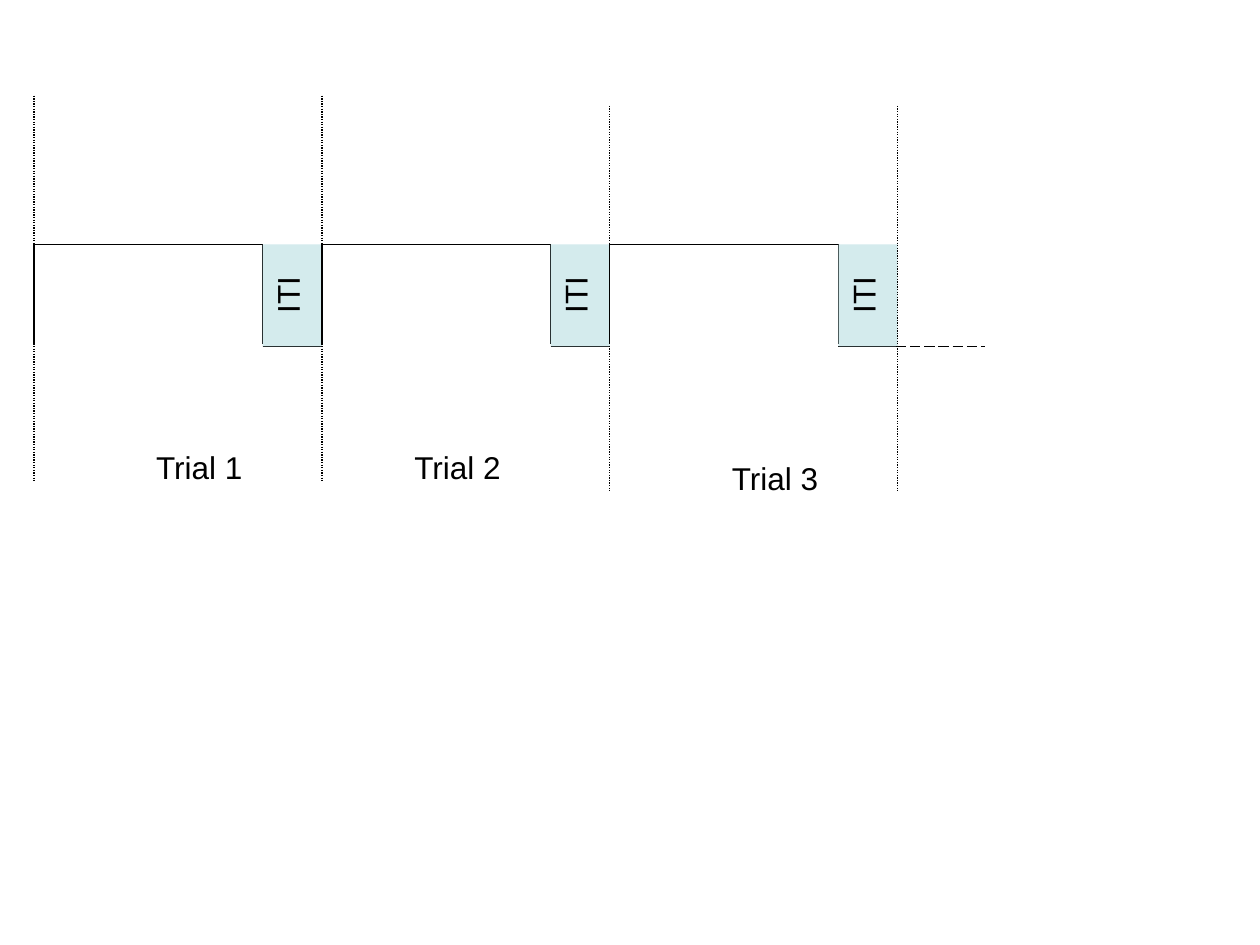
import pptx
import pptx.dml.color
import pptx.enum.dml
import pptx.enum.shapes
import pptx.enum.text
import pptx.oxml.ns
import pptx.util
import lxml.etree

Inches = pptx.util.Inches
qn = pptx.oxml.ns.qn
DASH = pptx.enum.dml.MSO_LINE

# label, label left, label top
TRIALS = [("Trial 1", 1.14, 3.51), ("Trial 2", 3.19, 3.51), ("Trial 3", 5.71, 3.59)]
BOUNDARY_TOPS = [0.76, 0.76, 0.84, 0.84]
BOUNDARY_HEIGHT = 3.07

START, PERIOD = 0.27, 2.285
ITI_OFFSET, ITI_WIDTH = 1.815, 0.47
HIGH, EDGE_END, LOW = 1.94, 2.73, 2.75
BLACK, ITI_FILL = "000000", "BBE0E3"

prs = pptx.Presentation()
prs.slide_width, prs.slide_height = Inches(10), Inches(7.5)
s = prs.slides.add_slide(prs.slide_layouts[6])


def rgb(color):
    return pptx.dml.color.RGBColor.from_string(color)


def add_line(x1, y1, x2, y2, dash=None):
    sp = s.shapes.add_connector(pptx.enum.shapes.MSO_CONNECTOR.STRAIGHT,
                                Inches(x1), Inches(y1), Inches(x2), Inches(y2))
    sp.line.color.rgb = rgb(BLACK)
    sp.line.width = pptx.util.Pt(0.75)
    if dash:
        sp.line.dash_style = dash
    lxml.etree.SubElement(sp._element.spPr, qn("a:effectLst"))


def add_text(text, x, y, width, height=0.4, rotation=0, size=18, color=BLACK):
    sp = s.shapes.add_textbox(Inches(x), Inches(y), Inches(width), Inches(height))
    sp.rotation = rotation
    tf = sp.text_frame
    tf.word_wrap = False
    tf.auto_size = pptx.enum.text.MSO_AUTO_SIZE.SHAPE_TO_FIT_TEXT
    r = tf.paragraphs[0].add_run()
    r.text = text
    r.font.name, r.font.size = "Arial", pptx.util.Pt(size)
    r.font.color.rgb = rgb(color)


def add_iti_box(x):
    sp = s.shapes.add_shape(pptx.enum.shapes.MSO_SHAPE.RECTANGLE, Inches(x),
                            Inches(HIGH), Inches(ITI_WIDTH), Inches(LOW - HIGH))
    sp.shadow.inherit = False
    sp.line.fill.background()
    sp.fill.solid()
    sp.fill.fore_color.rgb = rgb(ITI_FILL)
    fill = sp._element.spPr.find(".//" + qn("a:srgbClr"))
    lxml.etree.SubElement(fill, qn("a:alpha"), val="63000")


for i, (label, label_x, label_y) in enumerate(TRIALS):
    start = START + i * PERIOD
    iti = start + ITI_OFFSET
    add_line(start, EDGE_END, start, HIGH)
    add_line(start, HIGH, iti, HIGH)
    add_line(iti, EDGE_END, iti, HIGH)
    add_line(iti, LOW, start + PERIOD, LOW)
    add_iti_box(iti)
    add_text(label, label_x, label_y, 0.89)
    add_text("ITI", iti - 0.05, 2.14, 0.49, rotation=270)

for i, top in enumerate(BOUNDARY_TOPS):
    x = START + i * PERIOD
    add_line(x, top, x, top + BOUNDARY_HEIGHT, dash=DASH.ROUND_DOT)

add_line(7.11, LOW, 7.82, LOW, dash=DASH.LONG_DASH)

prs.save("out.pptx")
